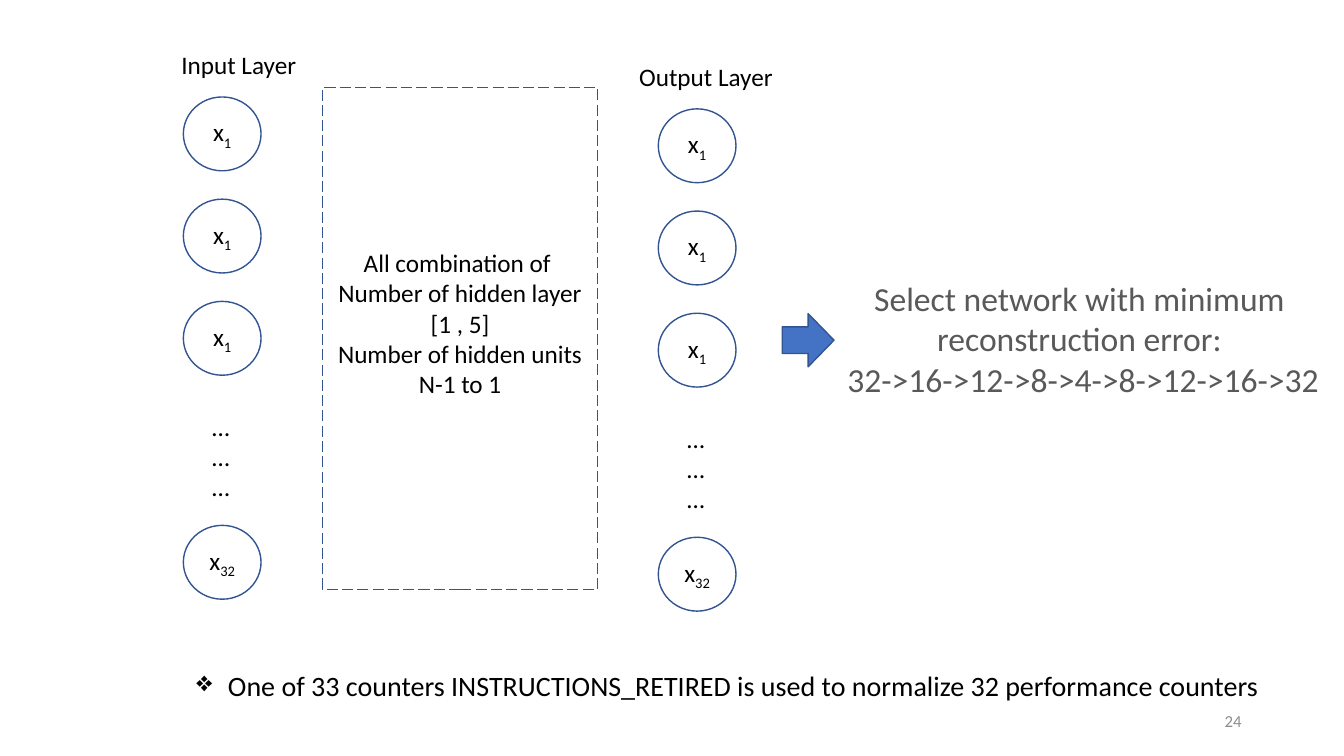
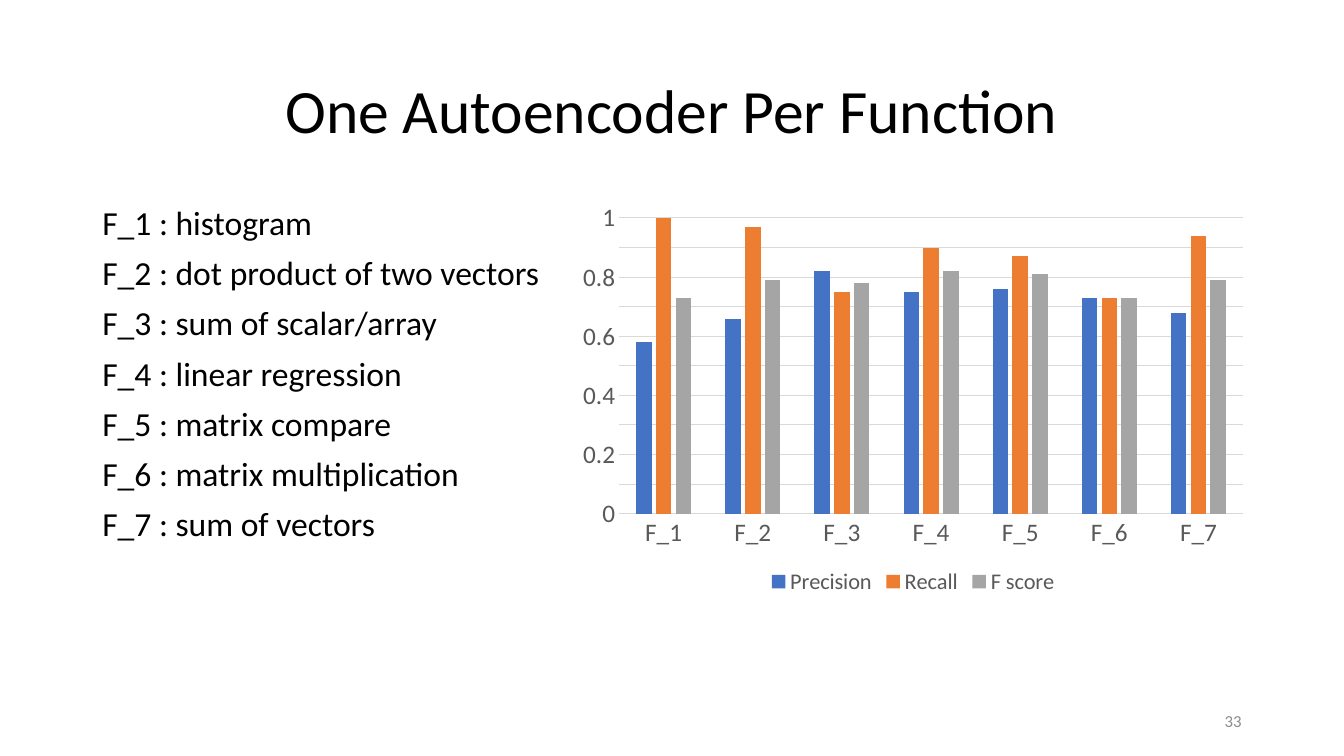
from lxml import etree
from pptx import Presentation
from pptx.chart.data import CategoryChartData
from pptx.dml.color import RGBColor
from pptx.enum import chart as charts, dml, shapes, text
from pptx.oxml import ns
from pptx.util import Pt

COLORS = {
    "text": "000000", "muted": "595959", "number": "8C8C8C", "grid": "D9D9D9",
    "outline": "325491", "blue": "4472C4", "orange": "ED7D31", "gray": "A5A5A5",
}
FONT = "Calibri"
LEFT, CENTER, RIGHT = text.PP_ALIGN.LEFT, text.PP_ALIGN.CENTER, text.PP_ALIGN.RIGHT
TOP, MIDDLE = text.MSO_ANCHOR.TOP, text.MSO_ANCHOR.MIDDLE


def color(name):
    return RGBColor.from_string(COLORS[name])


def write(shape, lines, size, ink="text", align=LEFT, anchor=TOP, wrap=True):
    """Fill a shape with one paragraph per line and return the paragraphs."""
    frame = shape.text_frame
    frame.text = "\n".join(lines)
    frame.word_wrap = wrap
    frame.vertical_anchor = anchor
    for para in frame.paragraphs:
        para.alignment = align
        para.font.name = FONT
        para.font.size = Pt(size)
        para.font.color.rgb = color(ink)
    return frame.paragraphs


deck = Presentation()
deck.slide_width, deck.slide_height = Pt(960), Pt(540)
network_page = deck.slides.add_slide(deck.slide_layouts[6])
results_page = deck.slides.add_slide(deck.slide_layouts[5])

# Page numbers
for page, number in ((network_page, "24"), (results_page, "33")):
    box = page.shapes.add_textbox(Pt(678), Pt(500.5), Pt(216), Pt(28.75))
    write(box, [number], 12, "number", RIGHT, MIDDLE)

# Network: input and output layers
canvas = network_page.shapes
layers = [
    # label, label left, label width, circle left, first circle top
    ("Input Layer", 122.5, 97, 131, 69.25),
    ("Output Layer", 449.5, 111, 470.25, 77.75),
]
units = [("1", 0), ("1", 73), ("1", 146), ("32", 306)]
for label, label_left, label_width, left, top in layers:
    box = canvas.add_textbox(Pt(label_left), Pt(top - 37.5), Pt(label_width), Pt(29))
    write(box, [label], 18, wrap=False)

    for index, offset in units:
        unit = canvas.add_shape(shapes.MSO_SHAPE.OVAL, Pt(left), Pt(top + offset),
                                Pt(55.5), Pt(52.75))
        unit.shadow.inherit = False
        unit.fill.background()
        unit.line.color.rgb = color("outline")
        unit.line.width = Pt(1)
        para = write(unit, ["x"], 18, align=CENTER, anchor=MIDDLE)[0]
        span = para.add_run()
        span.text = index
        span.font._element.set("baseline", "-25000")

    dots = canvas.add_textbox(Pt(left + 13.5), Pt(top + 221), Pt(29), Pt(72.75))
    write(dots, ["…"] * 3, 18)

# Network: hidden layers, with the text a little above the middle
hidden = canvas.add_shape(shapes.MSO_SHAPE.RECTANGLE, Pt(230.25), Pt(62.5), Pt(196.75), Pt(358.5))
hidden.shadow.inherit = False
hidden.fill.background()
hidden.line.color.rgb = color("outline")
hidden.line.width = Pt(1)
hidden.line.dash_style = dml.MSO_LINE.LONG_DASH
write(hidden, ["All combination of ", "Number of hidden layer [1 , 5]",
               "Number of hidden units", "N-1 to 1"], 18, align=CENTER, anchor=MIDDLE)
hidden.text_frame.margin_bottom = Pt(25.5)

# Network: selected result
arrow = canvas.add_shape(shapes.MSO_SHAPE.RIGHT_ARROW, Pt(558.75), Pt(224), Pt(37), Pt(38))
arrow.shadow.inherit = False
arrow.fill.solid()
arrow.fill.fore_color.rgb = color("blue")
arrow.line.color.rgb = color("outline")
arrow.line.width = Pt(1)

box = canvas.add_textbox(Pt(596.25), Pt(195), Pt(355), Pt(94.5))
write(box, ["Select network with minimum ", "reconstruction error: ",
            "32->16->12->8->4->8->12->16->32"], 24, "muted", CENTER, wrap=False)

# Network: bulleted remark
box = canvas.add_textbox(Pt(133.25), Pt(473.75), Pt(780), Pt(31.5))
para = write(box, ["One of 33 counters INSTRUCTIONS_RETIRED is used to normalize "
                   "32 performance counters"], 20, wrap=False)[0]
properties = para._p.get_or_add_pPr()
properties.set("marL", str(Pt(22.5)))
properties.set("indent", str(-Pt(22.5)))
bullet = etree.Element(ns.qn("a:buChar"), char="❖")
properties.insert(0, bullet)

# Results: title
title = results_page.shapes.title
title.left, title.top, title.width, title.height = Pt(66), Pt(28.75), Pt(828), Pt(104.5)
write(title, ["One Autoencoder Per Function"], 44, align=CENTER, anchor=MIDDLE)[0].line_spacing = 0.9

# Results: list of functions
functions = ["histogram", "dot product of two vectors", "sum of scalar/array",
             "linear regression", "matrix compare", "matrix multiplication", "sum of vectors"]
names = [f"F_{number}" for number in range(1, len(functions) + 1)]
box = results_page.shapes.add_textbox(Pt(66), Pt(143.75), Pt(828), Pt(342.75))
lines = [f"{name} : {function}" for name, function in zip(names, functions)]
for para in write(box, lines, 24):
    para.line_spacing = 0.9
    para.space_before = Pt(10)

# Results: scores per function
scores = [
    ("Precision", "blue", (0.58, 0.66, 0.82, 0.75, 0.76, 0.73, 0.68)),
    ("Recall", "orange", (1, 0.97, 0.75, 0.9, 0.87, 0.73, 0.94)),
    ("F score", "gray", (0.73, 0.79, 0.78, 0.82, 0.81, 0.73, 0.79)),
]
data = CategoryChartData()
data.categories = names
for name, _, values in scores:
    data.add_series(name, values)
chart = results_page.shapes.add_chart(charts.XL_CHART_TYPE.COLUMN_CLUSTERED, Pt(406.75), Pt(139),
                                      Pt(491), Pt(289.5), data).chart
chart.has_title = False
chart.font.name = FONT
chart.font.size = Pt(10)

plot = chart.plots[0]
plot.gap_width, plot.overlap = 219, -27
plot.vary_by_categories = False
for series, (_, ink, _) in zip(plot.series, scores):
    series.format.fill.solid()
    series.format.fill.fore_color.rgb = color(ink)

value_axis, category_axis = chart.value_axis, chart.category_axis
value_axis.minimum_scale, value_axis.maximum_scale = 0, 1
value_axis.major_unit = 0.1
value_axis.tick_labels.number_format = "General"
value_axis.tick_labels.number_format_is_linked = False
value_axis.format.line.fill.background()
for line in (value_axis.major_gridlines.format.line, category_axis.format.line):
    line.color.rgb = color("grid")
    line.width = Pt(0.75)
for axis in (value_axis, category_axis):
    axis.major_tick_mark = axis.minor_tick_mark = charts.XL_TICK_MARK.NONE

chart.has_legend = True
chart.legend.position = charts.XL_LEGEND_POSITION.BOTTOM
chart.legend.include_in_layout = False
for font, size in ((value_axis.tick_labels.font, 18), (category_axis.tick_labels.font, 18),
                   (chart.legend.font, 16)):
    font.name = FONT
    font.size = Pt(size)
    font.color.rgb = color("muted")

deck.save("out.pptx")
